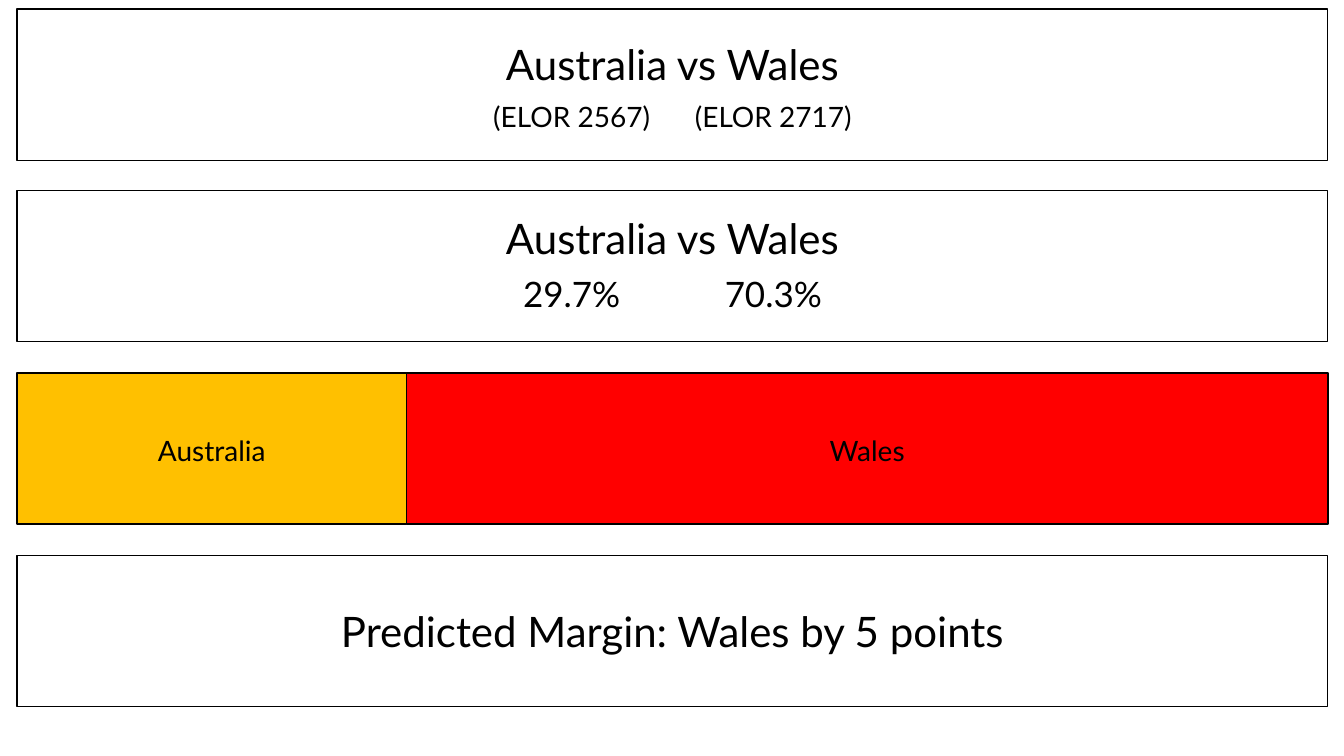
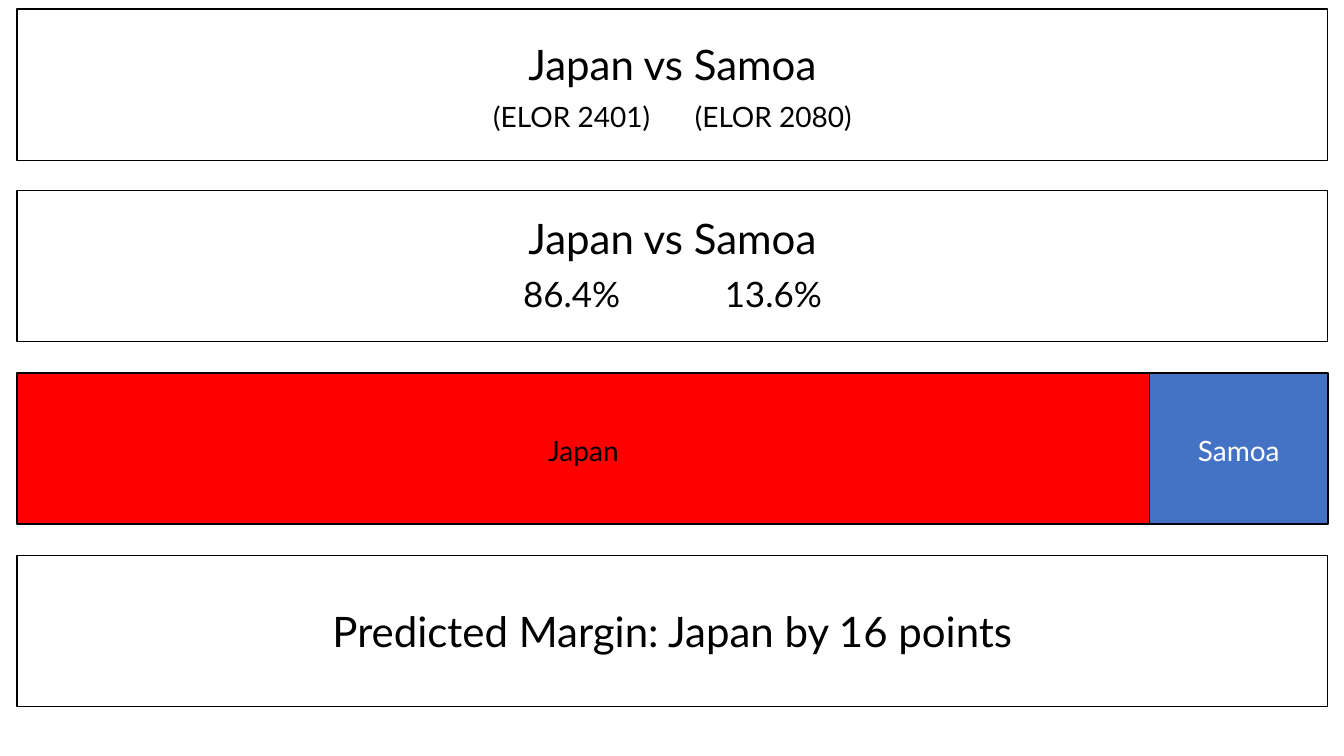
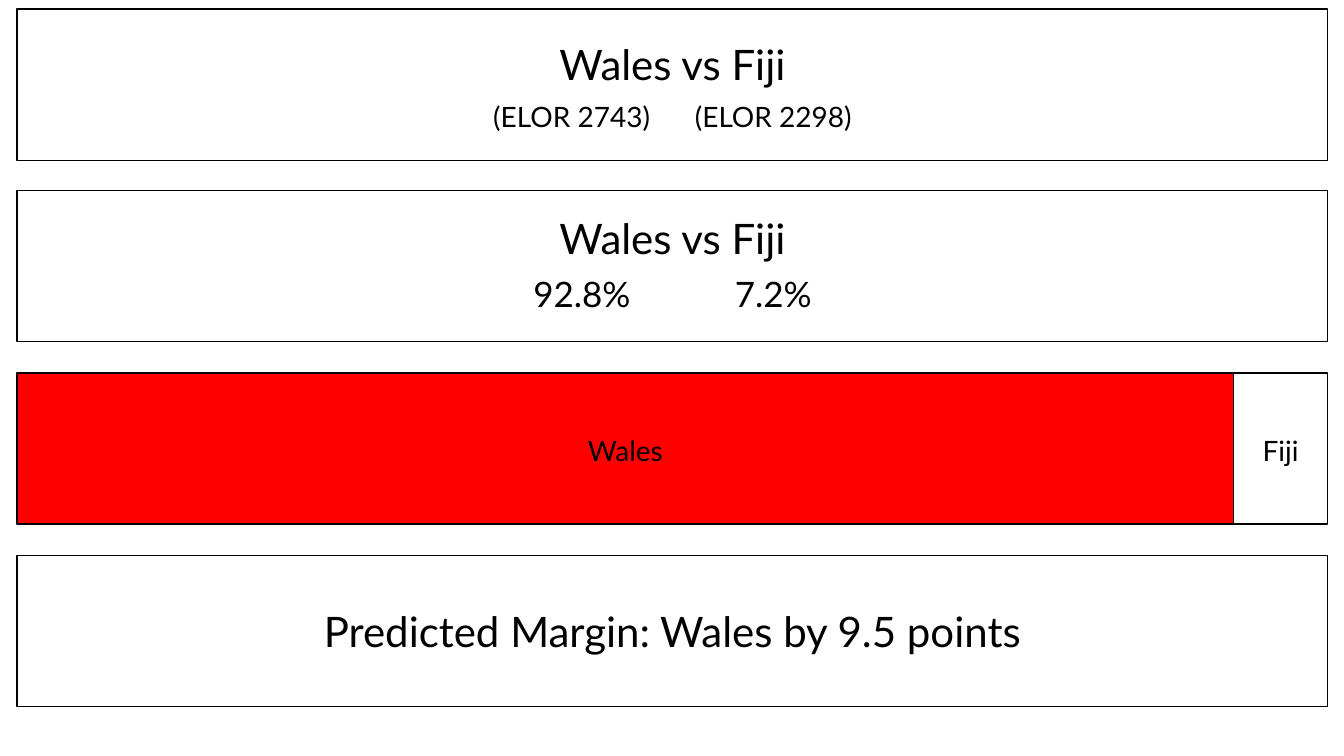
from lxml.etree import SubElement
from pptx import Presentation
from pptx.dml.color import RGBColor
from pptx.enum.shapes import MSO_SHAPE
from pptx.enum.text import MSO_AUTO_SIZE, PP_ALIGN
from pptx.oxml.ns import qn
from pptx.util import Inches, Pt

FONT = "Lato"
COLORS = {
    "black": "000000",
    "white": "FFFFFF",
    "gold": "FFC000",
    "red": "FF0000",
    "blue": "4472C4",
}

# Each team: name, rating, win chance in percent, bar colour, label colour
MATCHES = [
    {
        "teams": [("Australia", 2567, 29.7, "gold", "black"),
                  ("Wales", 2717, 70.3, "red", "black")],
        "margin": "Wales by 5 points",
    },
    {
        "teams": [("Japan", 2401, 86.4, "red", "black"),
                  ("Samoa", 2080, 13.6, "blue", "white")],
        "margin": "Japan by 16 points",
    },
    {
        "teams": [("Wales", 2743, 92.8, "red", "black"),
                  ("Fiji", 2298, 7.2, "white", "black")],
        "margin": "Wales by 9.5 points",
    },
]

LEFT, WIDTH, BAND_HEIGHT = 0.17, 13, 1.5
RATING_TOP, CHANCE_TOP, BAR_TOP, MARGIN_TOP = 0.09, 1.89, 3.7, 5.51
LABEL_TOP = 4.25
COLUMN_STEP = 2  # from the start of the first team's figure to the second's
LINE_HEIGHTS = {30: 0.61, 25: 0.52, 20: 0.44}


def rgb(color):
    """Look up a named colour."""
    return RGBColor.from_string(COLORS[color])


def add_band(slide, top, fill=None, left=LEFT, width=WIDTH):
    """Draw a black-outlined rectangle, hollow unless a fill is named."""
    band = slide.shapes.add_shape(
        MSO_SHAPE.RECTANGLE, Inches(left), Inches(top),
        Inches(width), Inches(BAND_HEIGHT))
    band.shadow.inherit = False
    if fill:
        band.fill.solid()
        band.fill.fore_color.rgb = rgb(fill)
    else:
        band.fill.background()
    band.line.color.rgb = rgb("black")
    band.line.width = Pt(1)


def add_line(slide, text, top, size, color="black", left=LEFT, width=WIDTH):
    """Write one centred line of text and return its paragraph."""
    box = slide.shapes.add_textbox(
        Inches(left), Inches(top), Inches(width), Inches(LINE_HEIGHTS[size]))
    frame = box.text_frame
    frame.word_wrap = True
    frame.auto_size = MSO_AUTO_SIZE.SHAPE_TO_FIT_TEXT
    paragraph = frame.paragraphs[0]
    paragraph.text = text
    paragraph.alignment = PP_ALIGN.CENTER
    paragraph.font.name = FONT
    paragraph.font.size = Pt(size)
    paragraph.font.color.rgb = rgb(color)
    return paragraph


def add_figures(slide, figures, top, size):
    """Write the two teams' figures, separated by a tab stop."""
    paragraph = add_line(slide, "\t".join(figures), top, size)
    stops = SubElement(paragraph._p.get_or_add_pPr(), qn("a:tabLst"))
    SubElement(stops, qn("a:tab"), pos=str(Inches(COLUMN_STEP)), algn="l")


def add_win_bar(slide, teams):
    """Split a full-width bar by the teams' win chances."""
    left = LEFT
    for name, _, chance, fill, label_color in teams:
        width = WIDTH * chance / 100
        add_band(slide, BAR_TOP, fill, left, width)
        add_line(slide, name, LABEL_TOP, 20, label_color, left, width)
        left += width


def add_match(deck, teams, margin):
    """Build the prediction slide of one match."""
    slide = deck.slides.add_slide(deck.slide_layouts[6])
    title = " vs ".join(team[0] for team in teams)

    add_band(slide, RATING_TOP, "white")
    add_line(slide, title, 0.33, 30)
    add_figures(slide, [f"(ELOR\u00a0{team[1]})" for team in teams], 0.94, 20)

    add_band(slide, CHANCE_TOP)
    add_line(slide, title, 2.06, 30)
    add_figures(slide, [f"{team[2]}%" for team in teams], 2.65, 25)

    add_win_bar(slide, teams)

    add_band(slide, MARGIN_TOP)
    add_line(slide, f"Predicted Margin: {margin}", 5.96, 30)


deck = Presentation()
deck.slide_width, deck.slide_height = Inches(13.33), Inches(7.5)
for match in MATCHES:
    add_match(deck, **match)
deck.save("out.pptx")
